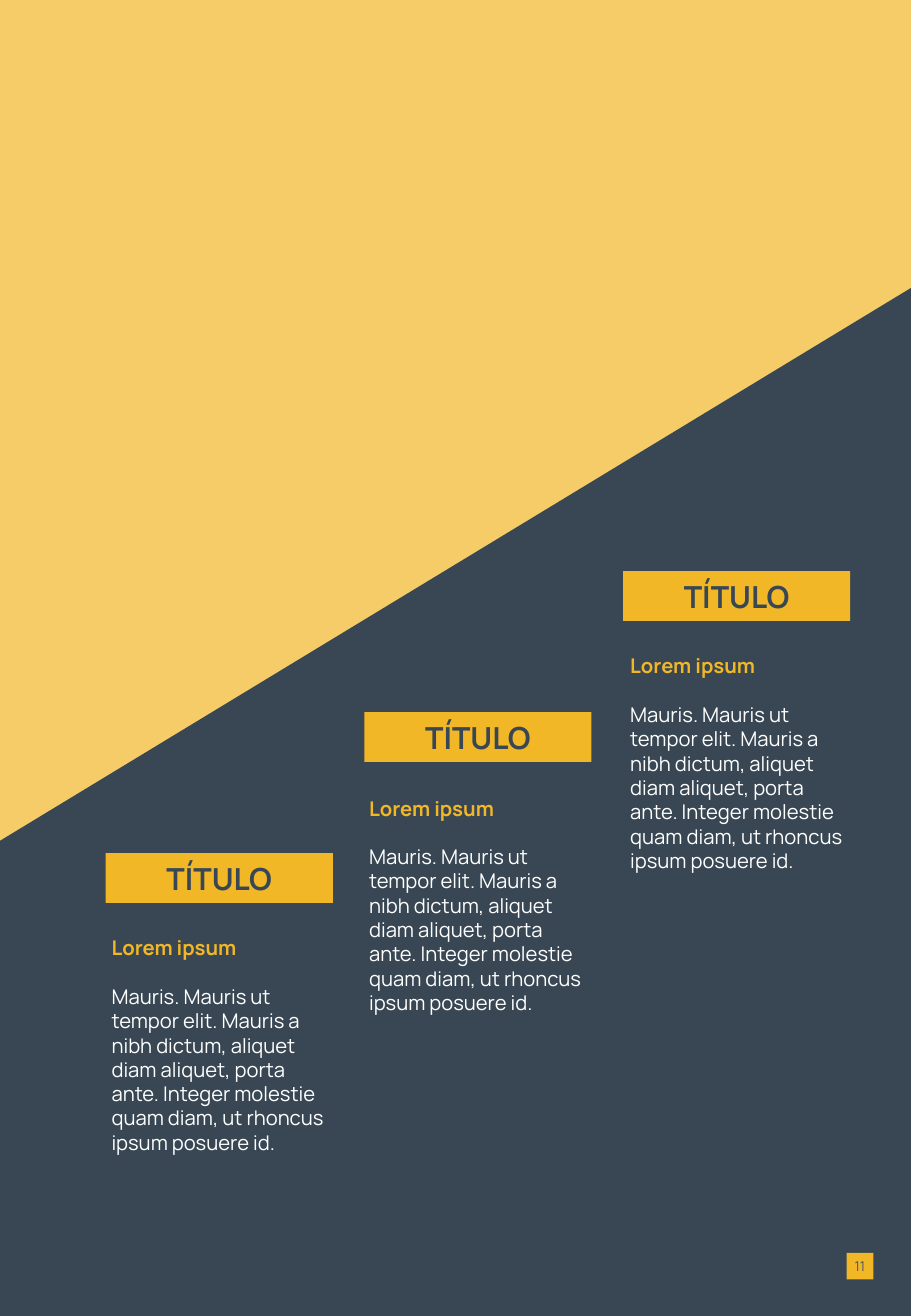
from lxml.etree import SubElement
from pptx import Presentation
from pptx.dml.color import RGBColor
from pptx.enum.shapes import MSO_SHAPE
from pptx.enum.text import MSO_ANCHOR, MSO_AUTO_SIZE, PP_ALIGN
from pptx.oxml.ns import qn
from pptx.util import Inches, Pt

HUES = {"gold": "F1B727", "slate": "384753", "white": "FFFFFF", "blue": "44546A"}
BODY = ("Mauris. Mauris ut tempor elit. Mauris a nibh dictum, aliquet diam aliquet, "
        "porta ante. Integer molestie quam diam, ut rhoncus ipsum posuere id.")


def write(para, text, size=12, hue="white", bold=False, align=PP_ALIGN.LEFT, gap=0):
    """Put formatted text into a paragraph."""
    para.alignment = align
    para.space_before = Pt(gap)
    run = para.add_run()
    run.text = text
    font = run.font
    font.name, font.size, font.bold = "Manrope", Pt(size), bold
    font.color.rgb = RGBColor.from_string(HUES[hue])


class Page:
    """Hold the style and the current slide."""

    def __init__(self, deck):
        """Add a slide with a title."""
        self.slide = deck.slides.add_slide(deck.slide_layouts[5])
        self.shapes = self.slide.shapes

    def paint(self, shape, hue, alpha=100):
        """Fill a shape and drop its line and shadow."""
        shape.fill.solid()
        shape.fill.fore_color.rgb = RGBColor.from_string(HUES[hue])
        shape.line.fill.background()
        shape.shadow.inherit = False
        if alpha < 100:
            tint = shape.element.spPr.find(".//" + qn("a:srgbClr"))
            SubElement(tint, qn("a:alpha"), val=str(alpha * 1000))

    def area(self, points, hue, alpha=100):
        """Draw a filled polygon."""
        spots = [(Inches(x), Inches(y)) for x, y in points]
        pen = self.shapes.build_freeform(*spots[0])
        pen.add_line_segments(spots[1:], close=True)
        self.paint(pen.convert_to_shape(), hue, alpha)

    def label(self, shape, text, **form):
        """Style a gold box with centred text."""
        self.paint(shape, "gold")
        frame = shape.text_frame
        frame.auto_size = MSO_AUTO_SIZE.NONE
        frame.vertical_anchor = MSO_ANCHOR.MIDDLE
        write(frame.paragraphs[0], text, align=PP_ALIGN.CENTER, **form)
        return frame

    def box(self, *place):
        """Add a plain rectangle."""
        return self.shapes.add_shape(MSO_SHAPE.RECTANGLE, *map(Inches, place))

    def title(self, *place):
        """Move the title above the areas."""
        shape = self.shapes.title
        shape.left, shape.top, shape.width, shape.height = map(Inches, place)
        self.shapes.element.append(shape.element)
        return shape

    def note(self, left, top):
        """Add a heading with a paragraph below it."""
        place = map(Inches, (left, top, 2.02, 1.92))
        frame = self.shapes.add_textbox(*place).text_frame
        frame.word_wrap = True
        frame.auto_size = MSO_AUTO_SIZE.SHAPE_TO_FIT_TEXT
        write(frame.paragraphs[0], "Lorem ipsum", hue="gold", bold=True)
        write(frame.add_paragraph(), BODY, gap=14.4)

    def number(self, text):
        """Add the page number."""
        frame = self.label(self.box(6.97, 10.31, 0.22, 0.22), text, size=8, hue="blue")
        frame.margin_left = frame.margin_right = 0
        frame.margin_top = frame.margin_bottom = 0


def main():
    """Build the deck."""
    deck = Presentation()
    deck.slide_width, deck.slide_height = Inches(7.5), Inches(10.83)
    page = Page(deck)
    page.area([(0, 0), (7.5, 0), (7.5, 2.39), (0, 6.94)], "gold", 70)
    page.area([(7.5, 2.37), (7.5, 10.83), (0, 10.83), (0, 6.92)], "slate")
    for i, spot in enumerate([(0.82, 7.65), (2.94, 6.5), (5.09, 5.33)]):
        place = 0.87 + 2.13 * i, 7.02 - 1.16 * i, 1.87, 0.41
        bar = page.box(*place) if i else page.title(*place)
        page.label(bar, "TÍTULO", size=18, hue="slate", bold=True)
        page.note(*spot)
    page.number("11")
    deck.save("out.pptx")


if __name__ == "__main__":
    main()
